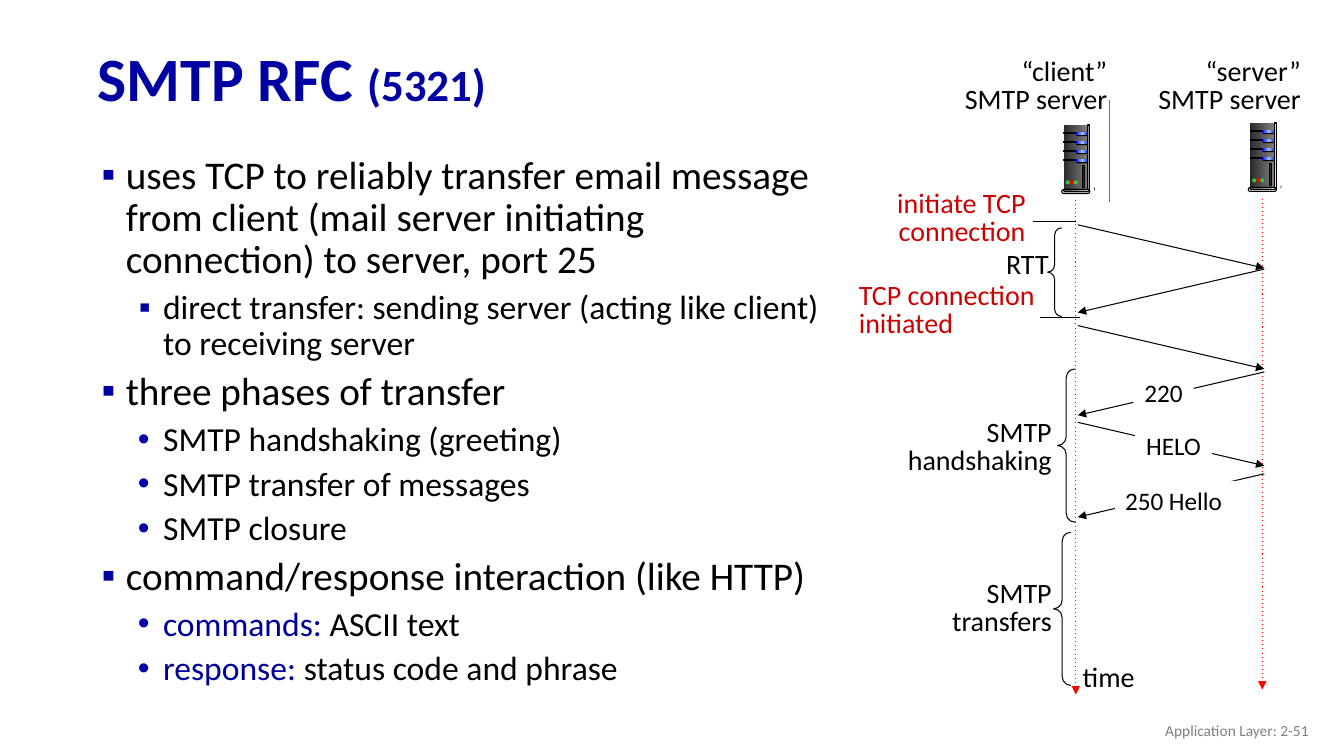
import dataclasses

import lxml.etree
import pptx
import pptx.dml.color
import pptx.enum.shapes
import pptx.enum.text
import pptx.oxml.ns
import pptx.util

Inches = pptx.util.Inches
Pt = pptx.util.Pt
qn = pptx.oxml.ns.qn
SHAPE = pptx.enum.shapes.MSO_SHAPE
ALIGN = pptx.enum.text.PP_ALIGN
ANCHOR = pptx.enum.text.MSO_ANCHOR


@dataclasses.dataclass(frozen=True)
class Theme:
    font: str = "Calibri"
    black: str = "000000"
    white: str = "FFFFFF"
    red: str = "FF0000"
    green: str = "33CC33"
    alert: str = "CC0000"
    title: str = "0000A3"
    dot: str = "0000A8"
    keyword: str = "000099"
    footer: str = "7F7F7F"
    charcoal: str = "333333"
    coal: str = "292929"
    silver: str = "DDDDDD"
    metal: tuple = ("292929", "808080")
    side: tuple = ("DDDDDD", "333333")
    shine: tuple = ("808080", "F8F8F8")
    glow: tuple = ("0000FF", "99CCFF", "0000FF")
    edge: tuple = ("333333", "DDDDDD", "333333")
    base: tuple = ("44546A", "E7E6E6")
    title_size: float = 44
    subtitle_size: float = 32
    topic_size: float = 28
    detail_size: float = 24
    label_size: float = 20
    reply_size: float = 18
    footer_size: float = 11
    line_width: float = 0.75


THEME = Theme()


@dataclasses.dataclass(frozen=True)
class Box:
    left: float
    top: float
    width: float
    height: float

    def inner(self, left, top, width, height):
        return Box(self.left + left, self.top + top, width, height)

    def lengths(self):
        return [Inches(side) for side in (self.left, self.top, self.width, self.height)]


def rgb(color):
    return pptx.dml.color.RGBColor.from_string(color)


def add_xml(parent, tag, **attributes):
    return lxml.etree.SubElement(parent, qn(tag), attributes)


def write_spans(para, spans):
    """Fill a paragraph with (text, size, colour, bold) spans."""
    for text, size, color, bold in spans:
        span = para.add_run()
        span.text = text
        span.font.name = THEME.font
        span.font.size = Pt(size)
        span.font.bold = bold
        span.font.color.rgb = rgb(color)


def add_text(shapes, box, lines, size=THEME.label_size, color=THEME.black,
             align=ALIGN.LEFT, spacing=0.85, anchor=ANCHOR.TOP, fill=None):
    """Place a text box; each line is a string or a list of spans."""
    shape = shapes.add_textbox(*box.lengths())
    if fill:
        shape.fill.solid()
        shape.fill.fore_color.rgb = rgb(fill)
    frame = shape.text_frame
    frame.word_wrap = True
    frame.vertical_anchor = anchor
    for index, line in enumerate(lines):
        para = frame.add_paragraph() if index else frame.paragraphs[0]
        para.alignment = align
        para.line_spacing = spacing
        write_spans(para, [(line, size, color, False)] if isinstance(line, str) else line)
    return shape


def style(shape, fill=None, outlined=False):
    """Fill with one colour, a tuple of gradient colours, or nothing."""
    shape.shadow.inherit = False
    if isinstance(fill, tuple):
        shape.fill.gradient()
        shape.fill.gradient_angle = 0
        stops = shape.element.spPr.find(qn("a:gradFill")).find(qn("a:gsLst"))
        stops.clear()
        for index, color in enumerate(fill):
            stop = add_xml(stops, "a:gs", pos=str(index * 100000 // (len(fill) - 1)))
            add_xml(stop, "a:srgbClr", val=color)
    elif fill:
        shape.fill.solid()
        shape.fill.fore_color.rgb = rgb(fill)
    else:
        shape.fill.background()
    if outlined:
        shape.line.color.rgb = rgb(THEME.black)
        shape.line.width = Pt(THEME.line_width)
    else:
        shape.line.fill.background()


def add_line(shapes, box, start, end, color=THEME.black, dotted=False, arrow=False):
    ends = [Inches(value) for x, y in (start, end) for value in (box.left + x, box.top + y)]
    line = shapes.add_connector(pptx.enum.shapes.MSO_CONNECTOR.STRAIGHT, *ends)
    line.line.color.rgb = rgb(color)
    line.line.width = Pt(THEME.line_width)
    outline = line.line._get_or_add_ln()
    if dotted:
        add_xml(outline, "a:prstDash", val="dot")
    if arrow:
        add_xml(outline, "a:tailEnd", type="triangle")
    add_xml(line._element.spPr, "a:effectLst")


def add_brace(shapes, box):
    brace = shapes.add_shape(SHAPE.LEFT_BRACE, *box.lengths())
    brace.adjustments[0] = 0.521
    style(brace, outlined=True)


def add_tower(page, box):
    """Draw a server tower with four drive bays."""
    shapes = page.shapes.add_group_shape().shapes

    def part(kind, place, fill, outlined=False):
        shape = shapes.add_shape(kind, *box.inner(*place).lengths())
        if kind == SHAPE.ROUNDED_RECTANGLE:
            shape.adjustments[0] = 0.5
        style(shape, fill, outlined)

    def panel(points, fill):
        corners = [(box.left + x, box.top + y) for x, y in points]
        builder = shapes.build_freeform(*corners[0], scale=Inches(1))
        builder.add_line_segments(corners[1:], close=True)
        style(builder.convert_to_shape(), fill)

    bays = [0.07 + 0.09 * row for row in range(4)]
    panel([(0.28, 0), (0.33, 0.08), (0.33, 0.62), (0.26, 0.65)], THEME.side)
    part(SHAPE.RECTANGLE, (0.02, 0, 0.24, 0.65), THEME.metal)
    panel([(0.28, 0.04), (0.31, 0.09), (0.29, 0.4), (0.28, 0.63)], THEME.shine)
    for top in bays:
        part(SHAPE.RECTANGLE, (0.02, top, 0.14, 0.01), THEME.black, True)
        part(SHAPE.ROUNDED_RECTANGLE, (0.14, top, 0.14, 0.04), THEME.black)
        part(SHAPE.ROUNDED_RECTANGLE, (0.14, top, 0.13, 0.03), THEME.glow)
    part(SHAPE.RECTANGLE, (0.26, 0, 0.02, 0.65), THEME.edge, True)
    for top in bays:
        panel([(0.27, top), (0.33, top + 0.03), (0.33, top + 0.06), (0.27, top + 0.03)],
              THEME.metal)
    part(SHAPE.OVAL, (0.32, 0.62, 0.01, 0.03), THEME.charcoal)
    panel([(0.27, 0.64), (0.27, 0.67), (0.33, 0.64), (0.33, 0.62)], THEME.charcoal)
    part(SHAPE.ROUNDED_RECTANGLE, (0, 0.64, 0.28, 0.04), THEME.silver, True)
    part(SHAPE.ROUNDED_RECTANGLE, (0.02, 0.64, 0.25, 0.02), THEME.base, True)
    for column, color in enumerate((THEME.green, THEME.red, THEME.green)):
        part(SHAPE.OVAL, (0.04 + 0.04 * column, 0.55, 0.04, 0.04), color)
    part(SHAPE.RECTANGLE, (0.21, 0.4, 0.02, 0.22), THEME.coal, True)


def add_title(page, box):
    add_text(page.shapes, box, [[("SMTP RFC ", THEME.title_size, THEME.title, True),
                                 ("(5321)", THEME.subtitle_size, THEME.title, True)]],
             spacing=0.9, anchor=ANCHOR.MIDDLE)


def add_outline(page, box):
    """Place the bulleted text; an entry is level, bullet, keyword and text."""
    entries = [
        (0, "▪", "", "uses TCP to reliably transfer email message from client "
                     "(mail server initiating connection) to server, port 25"),
        (1, "▪", "", "direct transfer: sending server (acting like client) to receiving server"),
        (0, "▪", "", "three phases of transfer"),
        (1, "•", "", "SMTP handshaking (greeting)"),
        (1, "•", "", "SMTP transfer of messages"),
        (1, "•", "", "SMTP closure"),
        (0, "▪", "", "command/response interaction (like HTTP)"),
        (1, "•", "commands:", " ASCII text"),
        (1, "•", "response:", " status code and phrase"),
    ]
    lines = []
    for level, bullet, keyword, text in entries:
        size = THEME.detail_size if level else THEME.topic_size
        spans = [(keyword, size, THEME.keyword, False), (text, size, THEME.black, False)]
        lines.append([span for span in spans if span[0]])
    frame = add_text(page.shapes, box, lines, spacing=0.9).text_frame
    for index, (para, entry) in enumerate(zip(frame.paragraphs, entries)):
        level, bullet = entry[:2]
        para.level = level
        para.space_before = Pt(6 if index else 0)
        properties = para._p.get_or_add_pPr()
        properties.set("marL", str(Inches(0.76 if level else 0.39)))
        properties.set("indent", str(Inches(-0.25 if bullet == "•" else -0.24)))
        color = add_xml(properties, "a:buClr")
        add_xml(color, "a:srgbClr", val=THEME.dot if bullet == "•" else THEME.title)
        add_xml(properties, "a:buFont", typeface="Arial")
        add_xml(properties, "a:buChar", char=bullet)


def add_sequence(page, box):
    """Draw the message exchange between the two mail servers."""
    shapes = page.shapes
    client, server = 2.27, 4.12
    for x, top, bottom in ((client, 1.48, 6.39), (server, 1.47, 6.34)):
        add_line(shapes, box, (x, top), (x, bottom), THEME.red, dotted=True, arrow=True)
    for index, top in enumerate((1.73, 2.17, 2.73, 3.19, 3.69, 4.2)):
        start, end = (server, client) if index % 2 else (client, server)
        add_line(shapes, box, (start + 0.02, top), (end + 0.02, top + 0.43), arrow=True)
    for left, right, y in ((1.85, client, 1.7), (1.92, 2.31, 2.65)):
        add_line(shapes, box, (left, y), (right, y))
    for place in ((1.99, 1.76, 0.14, 0.88), (2.09, 3.16, 0.17, 1.52), (2.05, 4.78, 0.17, 1.52)):
        add_brace(shapes, box.inner(*place))
    for text, place, align in (("220", (2.84, 3.19, 0.6, 0.4), ALIGN.CENTER),
                               ("250 Hello", (2.66, 4.27, 1.23, 0.4), ALIGN.LEFT),
                               ("HELO", (2.86, 3.72, 0.76, 0.4), ALIGN.CENTER)):
        add_text(shapes, box.inner(*place), [text], THEME.reply_size, align=align,
                 spacing=1.0, fill=THEME.white)
    for lines, place, color, align in (
            (["“client”", "SMTP server"], (0.99, 0.03, 1.69, 0.68), THEME.black, ALIGN.RIGHT),
            (["“server”", "SMTP server"], (2.91, 0.03, 1.69, 0.68), THEME.black, ALIGN.RIGHT),
            (["initiate TCP", "connection"], (0.38, 1.34, 1.49, 0.68), THEME.alert, ALIGN.RIGHT),
            (["RTT"], (1.48, 1.95, 0.63, 0.39), THEME.black, ALIGN.LEFT),
            (["TCP connection", "initiated"], (0.02, 2.25, 2.4, 0.68), THEME.alert, ALIGN.LEFT),
            (["SMTP handshaking"], (0.31, 3.61, 1.82, 0.68), THEME.black, ALIGN.RIGHT),
            (["SMTP transfers"], (0.31, 5.21, 1.82, 0.68), THEME.black, ALIGN.RIGHT),
            (["time"], (2.24, 6.04, 0.73, 0.39), THEME.black, ALIGN.LEFT)):
        add_text(shapes, box.inner(*place), lines, color=color, align=align)
    add_tower(page, box.inner(3.98, 0.72, 0.33, 0.68))
    add_tower(page, box.inner(2.13, 0.74, 0.33, 0.68))


def add_footer(page, box):
    add_text(page.shapes, box, ["Application Layer: 2-51"], THEME.footer_size, THEME.footer,
             ALIGN.RIGHT, 1.0, ANCHOR.MIDDLE)


def main():
    deck = pptx.Presentation()
    deck.slide_width, deck.slide_height = Inches(13.33), Inches(7.5)
    page = deck.slides.add_slide(deck.slide_layouts[6])
    add_title(page, Box(0.87, 0.32, 11.5, 0.98))
    add_outline(page, Box(0.76, 1.49, 7.53, 5.08))
    add_sequence(page, Box(8.4, 0.5, 4.65, 6.45))
    add_footer(page, Box(10.08, 7.05, 3, 0.4))
    deck.save("out.pptx")


if __name__ == "__main__":
    main()
